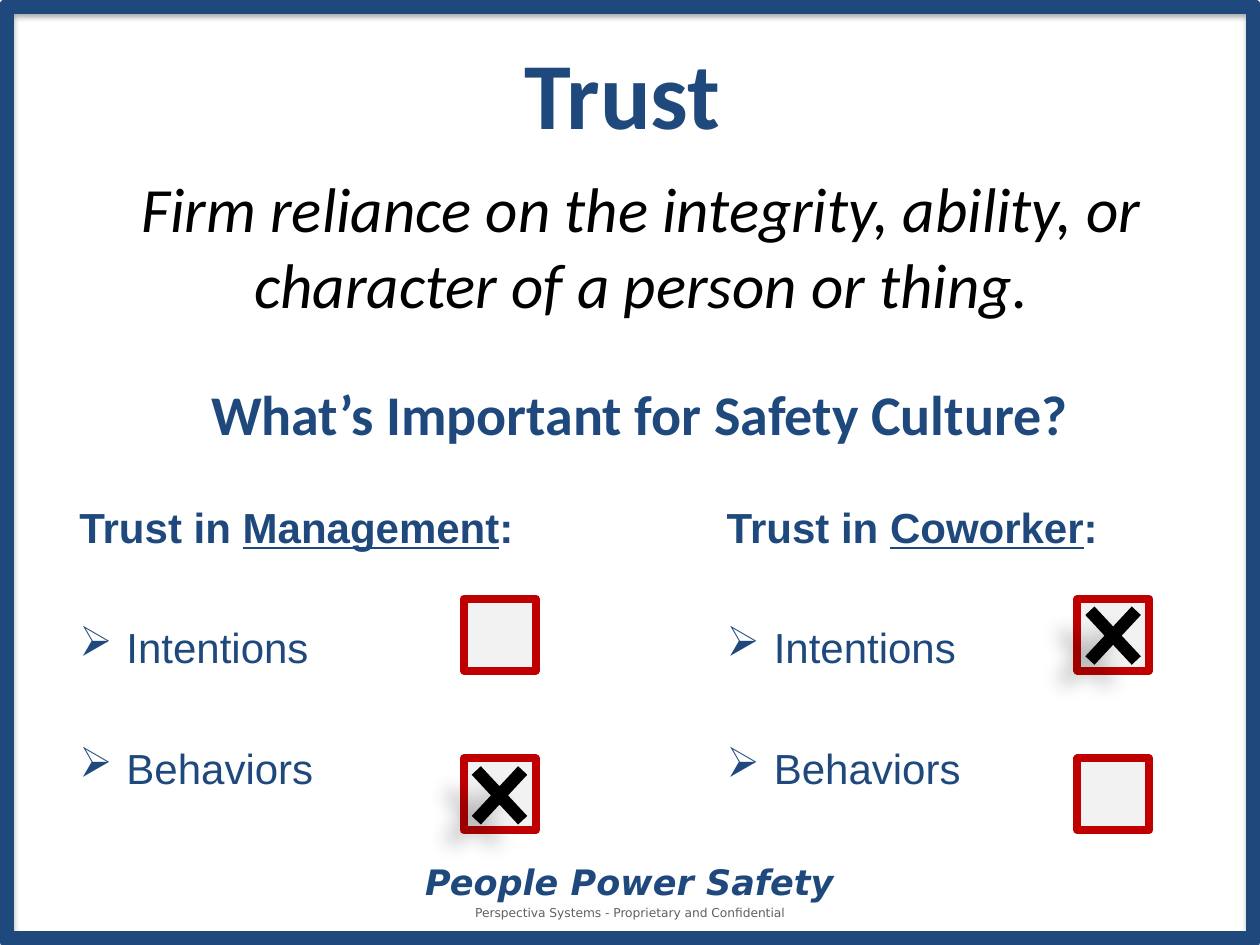
from lxml import etree
from pptx import Presentation
from pptx import util as u
from pptx.dml.color import RGBColor
from pptx.enum import shapes, text
from pptx.oxml import ns

NAVY = RGBColor(0x1F, 0x49, 0x7D)
RED = RGBColor(0xC0, 0x00, 0x00)
PALE = RGBColor(0xF2, 0xF2, 0xF2)
GREY = RGBColor(0x60, 0x60, 0x60)
BLACK = RGBColor(0x00, 0x00, 0x00)


def add_child(parent, tag, **attributes):
    values = {name: str(value) for name, value in attributes.items()}
    return etree.SubElement(parent, ns.qn(tag), values)


class TrustSlide:
    heading_font = "Calibri"
    list_font = "Arial"
    footer_font = "DejaVu Sans"
    list_size = 24
    list_gap = 40
    hanging = u.Cm(0.95)

    def __init__(self, presentation):
        self.slide = presentation.slides.add_slide(presentation.slide_layouts[6])

    def shape(self, kind, box, fill=None, line=None, width=0):
        shape = self.slide.shapes.add_shape(kind, *map(u.Cm, box))
        shape.shadow.inherit = False
        if fill is None:
            shape.fill.background()
        else:
            shape.fill.solid()
            shape.fill.fore_color.rgb = fill
        if line is None:
            shape.line.fill.background()
        else:
            shape.line.color.rgb = line
            shape.line.width = u.Pt(width)
        return shape

    def shadow(self, shape, opacity, blur, distance, angle):
        effects = shape._element.spPr.find(ns.qn("a:effectLst"))
        shadow = add_child(effects, "a:outerShdw", blurRad=u.Pt(blur), dist=u.Pt(distance),
                           dir=angle * 60000, algn="ctr", rotWithShape=0)
        color = add_child(shadow, "a:srgbClr", val=BLACK)
        add_child(color, "a:alpha", val=opacity * 1000)

    def frame(self, box):
        self.shadow(self.shape(shapes.MSO_SHAPE.RECTANGLE, box, line=NAVY, width=8.75),
                    35, 3.1, 1.8, 90)

    def checkbox(self, left, top):
        self.shape(shapes.MSO_SHAPE.RECTANGLE, (left, top, 1.45, 1.45), PALE, RED, 4.5)

    def cross(self, left, top):
        mark = self.shape(shapes.MSO_SHAPE.MATH_MULTIPLY,
                          (left - 0.18, top - 0.22, 1.8, 1.93), BLACK)
        mark.adjustments[0] = 0.14
        self.shadow(mark, 28, 11.8, 19.7, 141)

    def text_frame(self, box, anchor=text.MSO_ANCHOR.TOP):
        frame = self.slide.shapes.add_textbox(*map(u.Cm, box)).text_frame
        frame.word_wrap = True
        frame.vertical_anchor = anchor
        return frame

    def style(self, paragraph, name, size, color, bold=False, italic=False):
        font = paragraph.font
        font.name, font.size = name, u.Pt(size)
        font.bold, font.italic = bold, italic
        font.color.rgb = color

    def centered(self, words, box, size, name=heading_font, color=NAVY,
                 bold=False, italic=False, anchor=text.MSO_ANCHOR.MIDDLE):
        paragraph = self.text_frame(box, anchor).paragraphs[0]
        paragraph.text = words
        paragraph.alignment = text.PP_ALIGN.CENTER
        self.style(paragraph, name, size, color, bold, italic)

    def trust_list(self, subject, items, box):
        frame = self.text_frame(box)
        heading = frame.paragraphs[0]
        for words in ("Trust in ", subject, ":"):
            run = heading.add_run()
            run.text = words
            run.font.underline = words == subject
        self.style(heading, self.list_font, self.list_size, NAVY, bold=True)
        for item in items:
            paragraph = frame.add_paragraph()
            paragraph.text = item
            paragraph.space_before = u.Pt(self.list_gap)
            properties = paragraph._p.get_or_add_pPr()
            properties.set("marL", str(self.hanging))
            properties.set("indent", str(-self.hanging))
            add_child(properties, "a:buChar", char="➢")
            self.style(paragraph, self.list_font, self.list_size, NAVY)


def main():
    presentation = Presentation()
    presentation.slide_width = u.Cm(25.4)
    presentation.slide_height = u.Cm(19.05)
    page = TrustSlide(presentation)

    page.frame((0.13, 0.13, 25.14, 18.8))
    page.centered("Perspectiva Systems - Proprietary and Confidential",
                  (8.4, 18.13, 8.6, 0.56), 7, page.footer_font, GREY,
                  anchor=text.MSO_ANCHOR.TOP)
    page.centered("People Power Safety", (8.23, 17.43, 8.92, 0.68), 20,
                  page.footer_font, bold=True, italic=True)
    page.centered("What’s Important for Safety Culture?", (0.4, 7.5, 25, 1.65), 32, bold=True)

    items = ("Intentions", "Behaviors")
    page.trust_list("Management", items, (1.35, 9.98, 13.82, 7.4))
    page.trust_list("Coworker", items, (14.4, 9.98, 11, 7.4))

    columns = (9.35, 21.72)
    rows = (12.07, 15.29)
    for left in columns:
        for top in rows:
            page.checkbox(left, top)
    for left, top in zip(columns, reversed(rows)):
        page.cross(left, top)

    page.centered("Firm reliance on the integrity, ability, or character of a person or thing.",
                  (1.73, 3.3, 22.4, 3.3), 36, color=BLACK, italic=True,
                  anchor=text.MSO_ANCHOR.TOP)
    page.centered("Trust", (0, 0.76, 25.1, 2.18), 54, bold=True)
    presentation.save("out.pptx")


if __name__ == "__main__":
    main()
